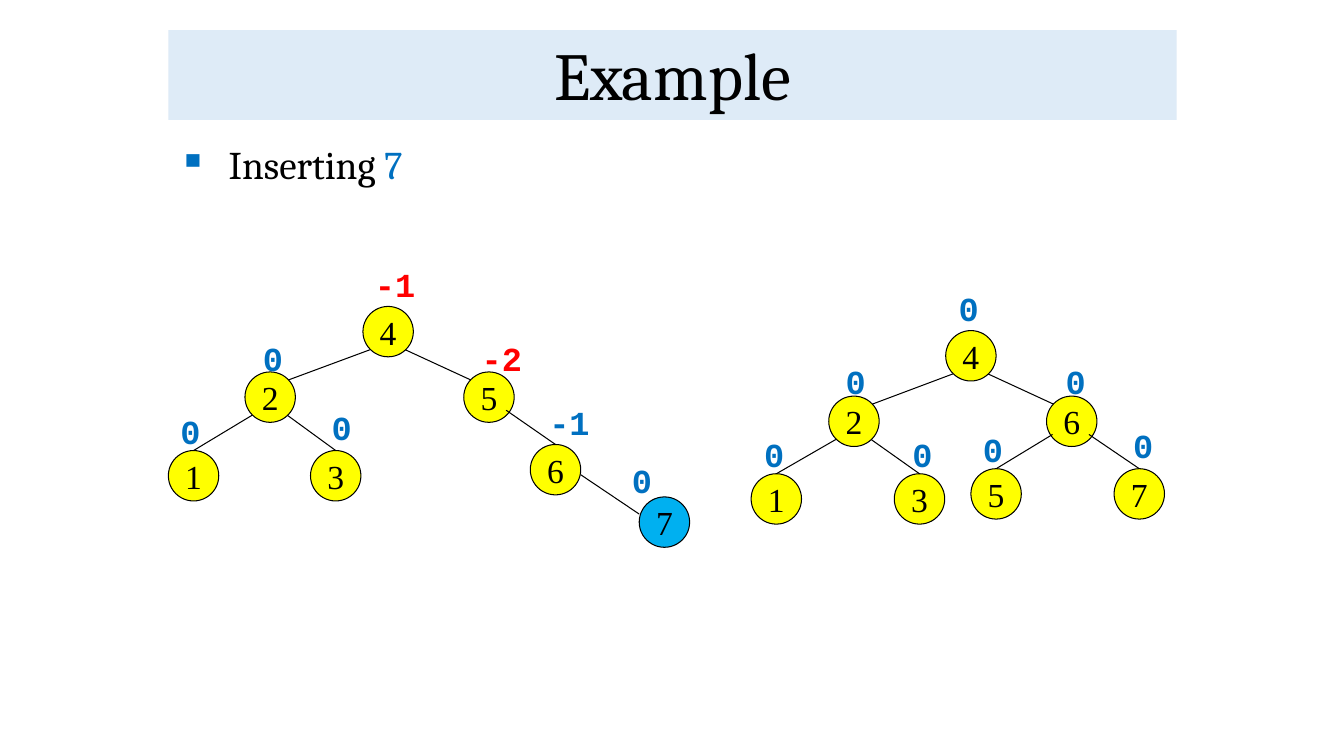
from dataclasses import dataclass
from typing import NamedTuple

from lxml import etree
from pptx import Presentation
from pptx.dml import color
from pptx.enum import shapes, text
from pptx.oxml import ns
from pptx.util import Inches, Pt


@dataclass(frozen=True)
class Theme:
    band: str = "DEEBF7"
    ink: str = "000000"
    accent: str = "0070C0"
    alert: str = "FF0000"
    node: str = "FFFF00"
    inserted: str = "00B0F0"
    heading_font: str = "Cambria"
    label_font: str = "Courier New"
    node_font: str = "Times New Roman"
    title_size: float = 48
    body_size: float = 28
    tree_size: float = 24
    line_width: float = 0.75


class Point(NamedTuple):
    x: float
    y: float


class Node(NamedTuple):
    key: str
    at: Point
    balance: str
    label_at: Point
    unbalanced: bool = False
    inserted: bool = False


class Edge(NamedTuple):
    parent: str
    child: str
    start: Point
    end: Point


class Tree(NamedTuple):
    nodes: list[Node]
    edges: list[Edge]


THEME = Theme()
DIAMETER = 0.5
LABEL_HEIGHT = 0.5

# Places on a node where edges meet it, measured from its top left
TOP = Point(0.25, 0)
UPPER_LEFT, UPPER_RIGHT = Point(0.07, 0.08), Point(0.43, 0.08)
LOWER_LEFT, LOWER_RIGHT = Point(0.07, 0.43), Point(0.42, 0.43)
MID_LEFT, MID_RIGHT = Point(0.06, 0.38), Point(0.42, 0.38)
SIDE_LEFT, SIDE_RIGHT = Point(0, 0.17), Point(0.5, 0.3)


def shared_edges(right_child: str) -> list[Edge]:
    """Edges of the root and of its left subtree."""
    return [
        Edge("4", "2", LOWER_LEFT, UPPER_RIGHT),
        Edge("4", right_child, LOWER_RIGHT, UPPER_LEFT),
        Edge("2", "1", LOWER_LEFT, TOP),
        Edge("2", "3", LOWER_RIGHT, TOP),
    ]


BEFORE = Tree(
    [
        Node("4", Point(3.6, 3.04), "-1", Point(3.62, 2.57), unbalanced=True),
        Node("2", Point(2.43, 3.69), "0", Point(2.51, 3.3)),
        Node("5", Point(4.6, 3.69), "-2", Point(4.68, 3.3), unbalanced=True),
        Node("1", Point(1.67, 4.47), "0", Point(1.69, 4.03)),
        Node("3", Point(3.08, 4.47), "0", Point(3.19, 3.99)),
        Node("6", Point(5.26, 4.41), "-1", Point(5.35, 3.94)),
        Node("7", Point(6.34, 4.93), "0", Point(6.17, 4.51), inserted=True),
    ],
    shared_edges("5")
    + [Edge("5", "6", MID_RIGHT, TOP), Edge("6", "7", SIDE_RIGHT, SIDE_LEFT)],
)
AFTER = Tree(
    [
        Node("4", Point(9.38, 3.28), "0", Point(9.41, 2.81)),
        Node("2", Point(8.22, 3.93), "0", Point(8.29, 3.53)),
        Node("6", Point(10.38, 3.93), "0", Point(10.47, 3.53)),
        Node("1", Point(7.45, 4.7), "0", Point(7.48, 4.26)),
        Node("3", Point(8.87, 4.7), "0", Point(8.95, 4.26)),
        Node("5", Point(9.63, 4.65), "0", Point(9.65, 4.21)),
        Node("7", Point(11.05, 4.65), "0", Point(11.14, 4.17)),
    ],
    shared_edges("6")
    + [Edge("6", "5", MID_LEFT, TOP), Edge("6", "7", MID_RIGHT, TOP)],
)


def rgb(value: str) -> color.RGBColor:
    return color.RGBColor.from_string(value)


def write(para, words: str, *, font: str, size: float, ink: str = THEME.ink,
          bold: bool = False, align=text.PP_ALIGN.LEFT) -> None:
    """Append one formatted span to a paragraph."""
    para.alignment = align
    span = para.add_run()
    span.text = words
    span.font.name, span.font.size, span.font.bold = font, Pt(size), bold
    span.font.color.rgb = rgb(ink)


def add_filled(parent, kind, at: Point, width: float, height: float, fill: str):
    shape = parent.add_shape(kind, Inches(at.x), Inches(at.y), Inches(width), Inches(height))
    shape.shadow.inherit = False
    shape.fill.solid()
    shape.fill.fore_color.rgb = rgb(fill)
    return shape


def add_title(page) -> None:
    band = add_filled(page.shapes, shapes.MSO_SHAPE.RECTANGLE, Point(1.67, 0.3), 10, 0.89, THEME.band)
    band.line.fill.background()
    band.text_frame.vertical_anchor = text.MSO_ANCHOR.BOTTOM
    para = band.text_frame.paragraphs[0]
    para.line_spacing = 0.9
    write(para, "Example", font=THEME.heading_font, size=THEME.title_size, align=text.PP_ALIGN.CENTER)


def add_bullet_line(page) -> None:
    box = page.shapes.add_textbox(Inches(1.67), Inches(1.4), Inches(10), Inches(0.44))
    box.text_frame.word_wrap = True
    para = box.text_frame.paragraphs[0]
    para.line_spacing = 0.9
    props = para._p.get_or_add_pPr()
    props.set("marL", str(Inches(0.5)))
    props.set("indent", str(Inches(-0.5)))
    bullet_color = etree.SubElement(props, ns.qn("a:buClr"))
    etree.SubElement(bullet_color, ns.qn("a:srgbClr"), val=THEME.accent)
    etree.SubElement(props, ns.qn("a:buChar"), char="▪")
    for words, ink in (("Inserting ", THEME.ink), ("7", THEME.accent)):
        write(para, words, font=THEME.heading_font, size=THEME.body_size, ink=ink)


def add_node(group, node: Node) -> None:
    fill = THEME.inserted if node.inserted else THEME.node
    circle = add_filled(group.shapes, shapes.MSO_SHAPE.OVAL, node.at, DIAMETER, DIAMETER, fill)
    circle.line.color.rgb = rgb(THEME.ink)
    circle.line.width = Pt(THEME.line_width)
    circle.text_frame.word_wrap = False
    circle.text_frame.vertical_anchor = text.MSO_ANCHOR.MIDDLE
    write(circle.text_frame.paragraphs[0], node.key, font=THEME.node_font,
          size=THEME.tree_size, align=text.PP_ALIGN.CENTER)


def add_edge(group, parent: Point, child: Point, edge: Edge) -> None:
    line = group.shapes.add_connector(
        shapes.MSO_CONNECTOR.STRAIGHT,
        Inches(parent.x + edge.start.x), Inches(parent.y + edge.start.y),
        Inches(child.x + edge.end.x), Inches(child.y + edge.end.y))
    line.line.color.rgb = rgb(THEME.ink)
    line.line.width = Pt(THEME.line_width)
    etree.SubElement(line._element.spPr, ns.qn("a:effectLst"))


def add_balance(group, node: Node) -> None:
    width = 0.2 + 0.2 * len(node.balance)
    box = group.shapes.add_textbox(Inches(node.label_at.x), Inches(node.label_at.y),
                                   Inches(width), Inches(LABEL_HEIGHT))
    box.text_frame.word_wrap = False
    box.text_frame.auto_size = text.MSO_AUTO_SIZE.SHAPE_TO_FIT_TEXT
    write(box.text_frame.paragraphs[0], node.balance, font=THEME.label_font, size=THEME.tree_size,
          ink=THEME.alert if node.unbalanced else THEME.accent, bold=True)


def add_tree(page, tree: Tree) -> None:
    group = page.shapes.add_group_shape()
    places = {node.key: node.at for node in tree.nodes}
    for node in tree.nodes:
        add_node(group, node)
    for edge in tree.edges:
        add_edge(group, places[edge.parent], places[edge.child], edge)
    for node in tree.nodes:
        add_balance(group, node)


def main() -> None:
    deck = Presentation()
    deck.slide_width, deck.slide_height = Inches(13.33), Inches(7.5)
    page = deck.slides.add_slide(deck.slide_layouts[6])
    add_title(page)
    for tree in (BEFORE, AFTER):
        add_tree(page, tree)
    add_bullet_line(page)
    deck.save("out.pptx")


if __name__ == "__main__":
    main()
